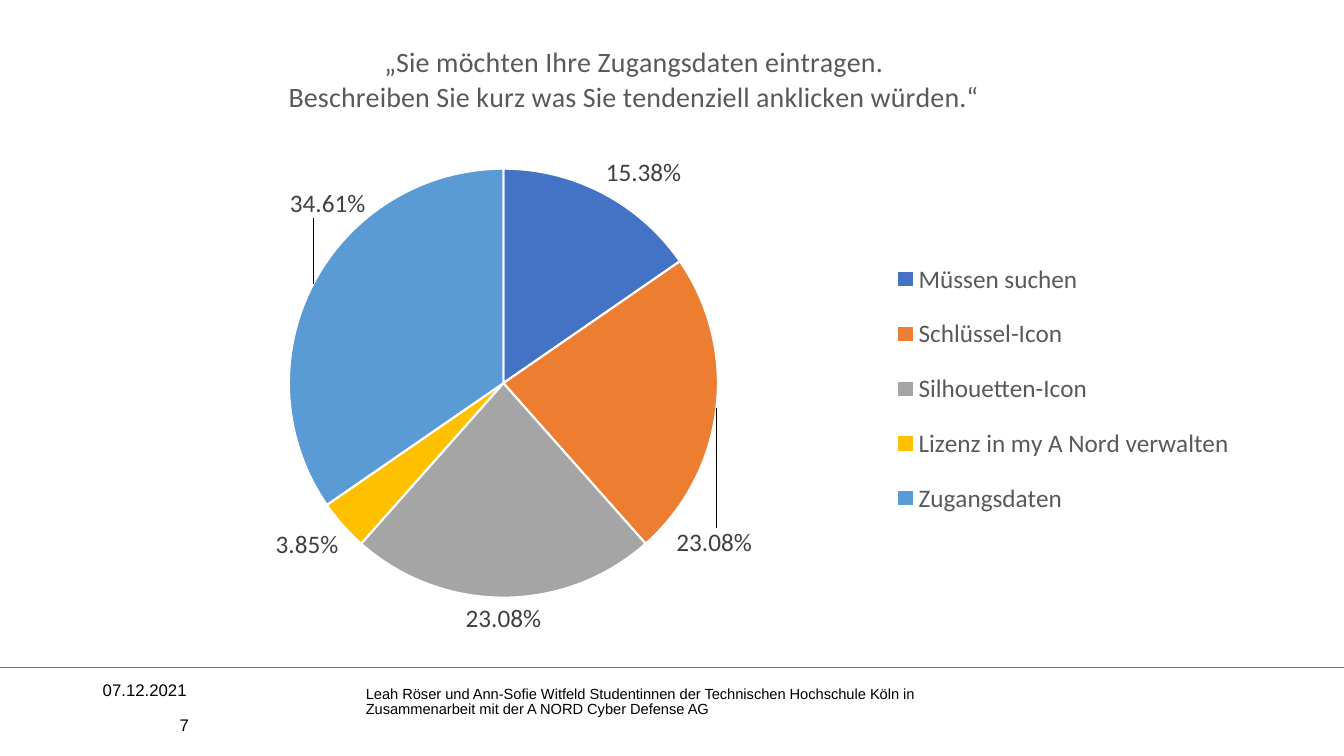
from lxml import etree
from pptx import Presentation
from pptx.chart.data import CategoryChartData
from pptx.dml.color import RGBColor
from pptx.enum import chart as ch, shapes, text
from pptx.oxml.ns import qn
from pptx.util import Cm, Pt

TITLE = ("„Sie möchten Ihre Zugangsdaten eintragen.\n"
         "Beschreiben Sie kurz was Sie tendenziell anklicken würden.“")
ANSWERS = [  # answer, share, colour
    ("Müssen suchen", 0.1538, "4472C4"),
    ("Schlüssel-Icon", 0.2308, "ED7D31"),
    ("Silhouetten-Icon", 0.2308, "A5A5A5"),
    ("Lizenz in my A Nord verwalten", 0.0385, "FFC000"),
    ("Zugangsdaten", 0.3461, "5B9BD5"),
]
DATE = "07.12.2021"
AUTHORS = ("Leah Röser und Ann-Sofie Witfeld Studentinnen der Technischen "
           "Hochschule Köln in Zusammenarbeit mit der A NORD Cyber Defense AG")
PAGE = "7"

THEME = {
    "chart_font": "Calibri", "footer_font": "Arial",
    "title": 20, "label": 18, "base": 10, "footer": 12, "authors": 10.5,
    "grey": "595959", "label_grey": "404040", "rule": "767171",
    "black": "000000", "white": "FFFFFF",
}
WIDTH, HEIGHT = 33.87, 19.05
RULE_Y, FOOTER_Y, FOOTER_X = 16.81, 16.97, 2.34
CHART_BOX = (2.87, 0.71, 28.83, 15.67)
LABEL_SHIFTS = {1: (-0.04, 0.19), 4: (0.05, -0.1)}  # share of chart size


def style(font, size, color, name=THEME["chart_font"]):
    font.size, font.name, font.bold = Pt(size), name, False
    font.color.rgb = RGBColor.from_string(color)


def add_text(slide, words, box, size=THEME["footer"], align=text.PP_ALIGN.LEFT, spacing=1.0):
    tf = slide.shapes.add_textbox(*map(Cm, box)).text_frame
    tf.word_wrap, tf.vertical_anchor = True, text.MSO_ANCHOR.MIDDLE
    p = tf.paragraphs[0]
    p.alignment, p.line_spacing, p.space_after = align, spacing, Pt(6)
    r = p.add_run()
    r.text = words
    style(r.font, size, THEME["black"], THEME["footer_font"])


def set_layout(parent, index, edge=True, **values):
    """Give a chart part a manual place, as shares of the chart's size."""
    for old in parent.findall(qn("c:layout")):
        parent.remove(old)
    layout = etree.Element(qn("c:layout"))
    manual = etree.SubElement(layout, qn("c:manualLayout"))
    settings = {"xMode": "edge", "yMode": "edge"} if edge else {}
    if parent.tag == qn("c:plotArea"):
        settings = {"layoutTarget": "inner", **settings}
    for key, value in {**settings, **values}.items():
        etree.SubElement(manual, qn("c:" + key)).set("val", str(value))
    parent.insert(index, layout)


def add_pie(slide):
    data = CategoryChartData(number_format="0.00%")
    data.categories = [answer for answer, _, _ in ANSWERS]
    data.add_series(TITLE, [share for _, share, _ in ANSWERS])
    chart = slide.shapes.add_chart(ch.XL_CHART_TYPE.PIE, *map(Cm, CHART_BOX), data).chart
    style(chart.font, THEME["base"], THEME["black"])

    chart.has_title = True
    chart.chart_title.include_in_layout = False
    chart.chart_title.text_frame.text = TITLE
    for p in chart.chart_title.text_frame.paragraphs:
        p.alignment = text.PP_ALIGN.CENTER
        for r in p.runs:
            style(r.font, THEME["title"], THEME["grey"])

    chart.has_legend = True
    chart.legend.position = ch.XL_LEGEND_POSITION.RIGHT
    chart.legend.include_in_layout = False
    style(chart.legend.font, THEME["label"], THEME["grey"])

    plot = chart.plots[0]
    plot.vary_by_categories = True
    series = plot.series[0]
    labels = series.data_labels
    labels.show_value = True
    labels.number_format, labels.number_format_is_linked = "0.00%", False
    labels.position = ch.XL_LABEL_POSITION.OUTSIDE_END
    style(labels.font, THEME["label"], THEME["label_grey"])
    for i, (_, _, color) in enumerate(ANSWERS):
        point = series.points[i]
        point.format.fill.solid()
        point.format.fill.fore_color.rgb = RGBColor.from_string(color)
        point.format.line.color.rgb = RGBColor.from_string(THEME["white"])
        point.format.line.width = Pt(1.5)
    for i in LABEL_SHIFTS:
        label = series.points[i].data_label
        style(label.font, THEME["label"], THEME["label_grey"])
        label.position = ch.XL_LABEL_POSITION.OUTSIDE_END

    root = chart.element
    set_layout(root.xpath("c:chart/c:title")[0], 1, x=0.15, y=0.02)
    set_layout(root.xpath("c:chart/c:plotArea")[0], 0, x=0.153, y=0.226, w=0.375, h=0.69)
    set_layout(root.xpath("c:chart/c:legend")[0], 1, x=0.675, y=0.34, w=0.31, h=0.48)
    for i, (x, y) in LABEL_SHIFTS.items():
        label = root.xpath(f"//c:dLbl[c:idx/@val='{i}']")[0]
        set_layout(label, 1, edge=False, x=x, y=y)


def add_rule(slide):
    line = slide.shapes.add_connector(
        shapes.MSO_CONNECTOR.STRAIGHT, Cm(WIDTH), Cm(RULE_Y), Cm(0), Cm(RULE_Y))
    line.line.color.rgb = RGBColor.from_string(THEME["rule"])
    line.line.width = Pt(0.5)
    etree.SubElement(line.element.spPr, qn("a:effectLst"))


def main():
    prs = Presentation()
    prs.slide_width, prs.slide_height = Cm(WIDTH), Cm(HEIGHT)
    slide = prs.slides.add_slide(prs.slide_layouts[6])
    add_rule(slide)
    add_pie(slide)
    add_text(slide, DATE, (FOOTER_X, FOOTER_Y, 2.67, 0.81))
    add_text(slide, AUTHORS, (8.97, FOOTER_Y, 14.45, 1.45), size=THEME["authors"], spacing=0.9)
    add_text(slide, PAGE, (FOOTER_X, FOOTER_Y + 0.89, 2.67, 0.81), align=text.PP_ALIGN.RIGHT)
    prs.save("out.pptx")


if __name__ == "__main__":
    main()
